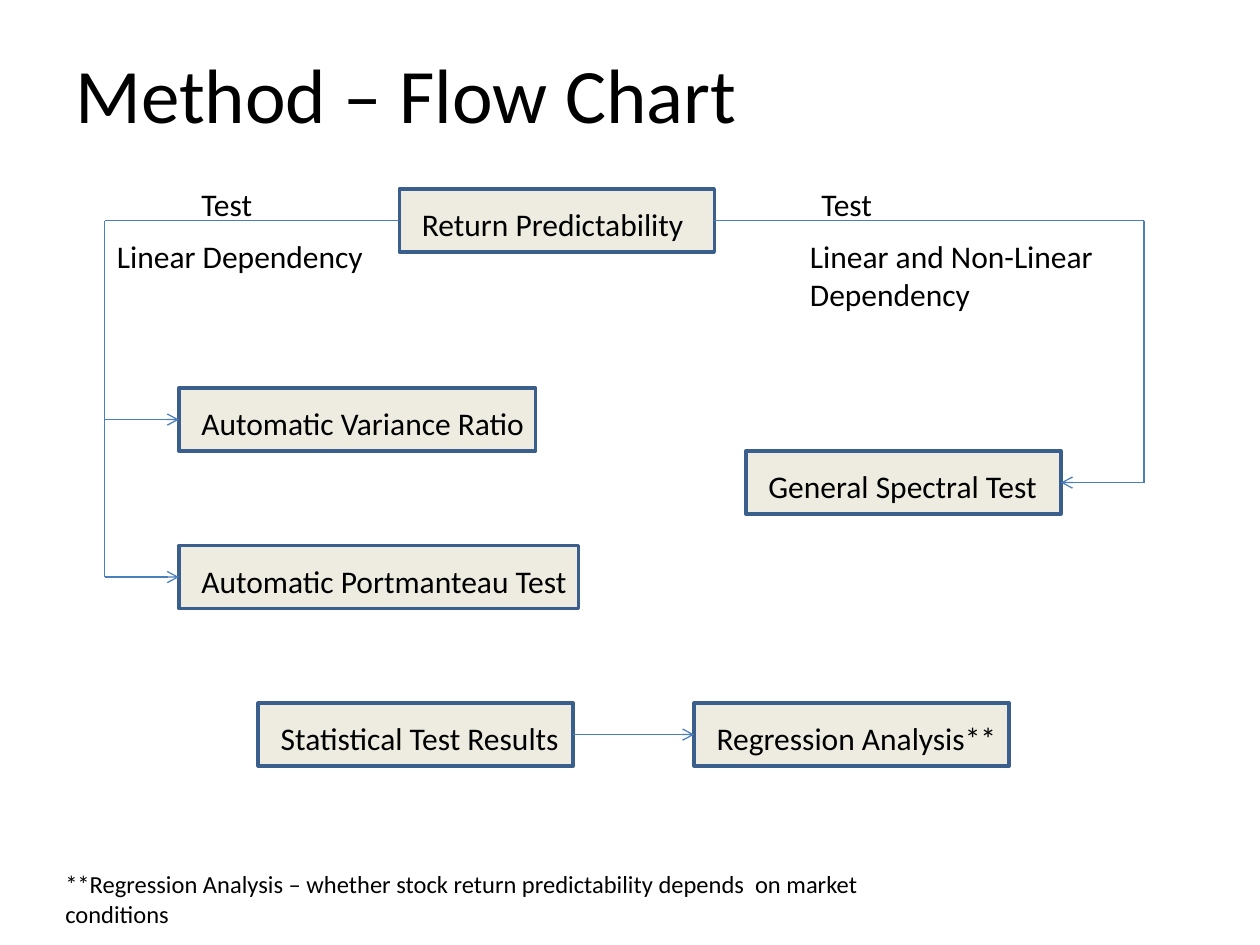
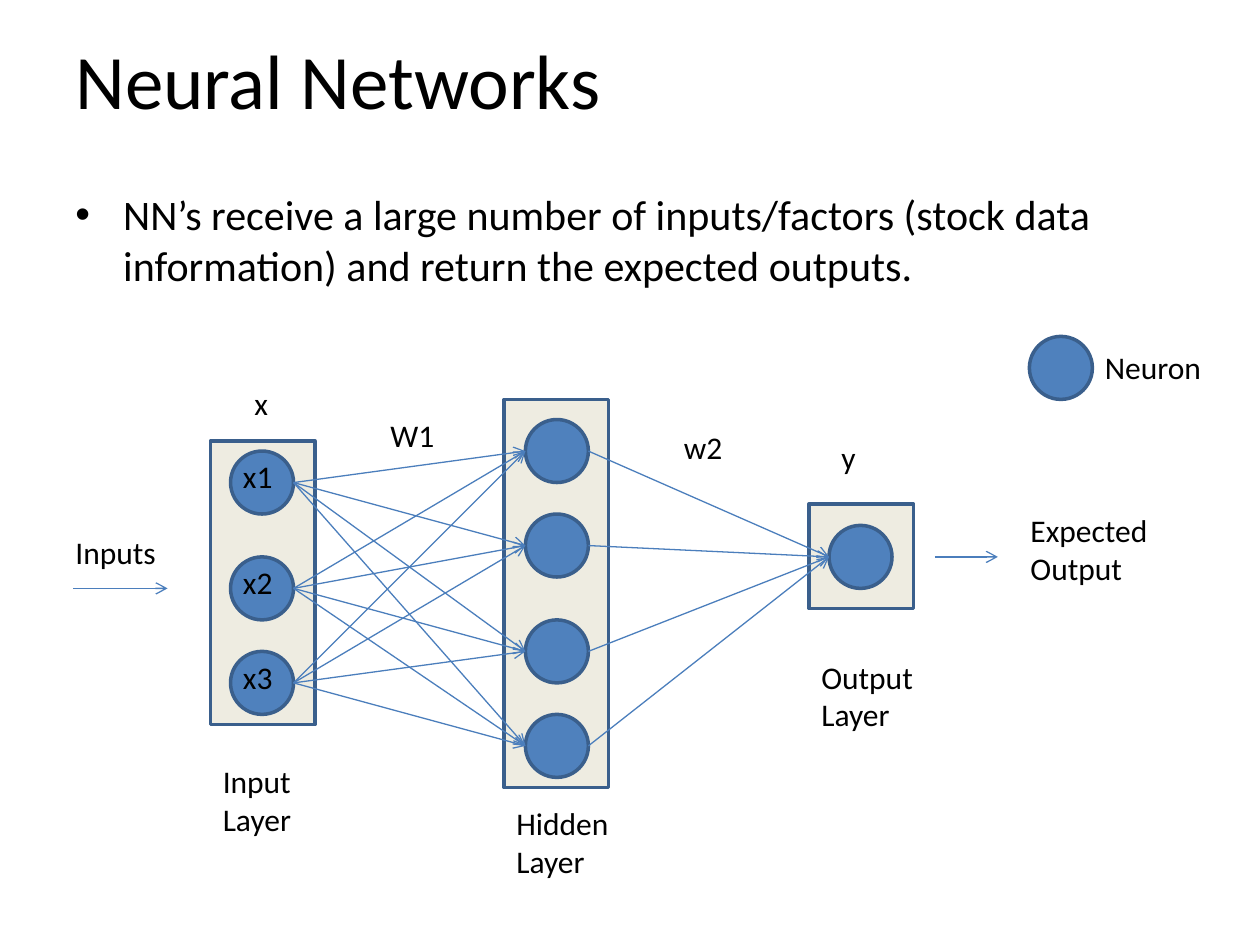
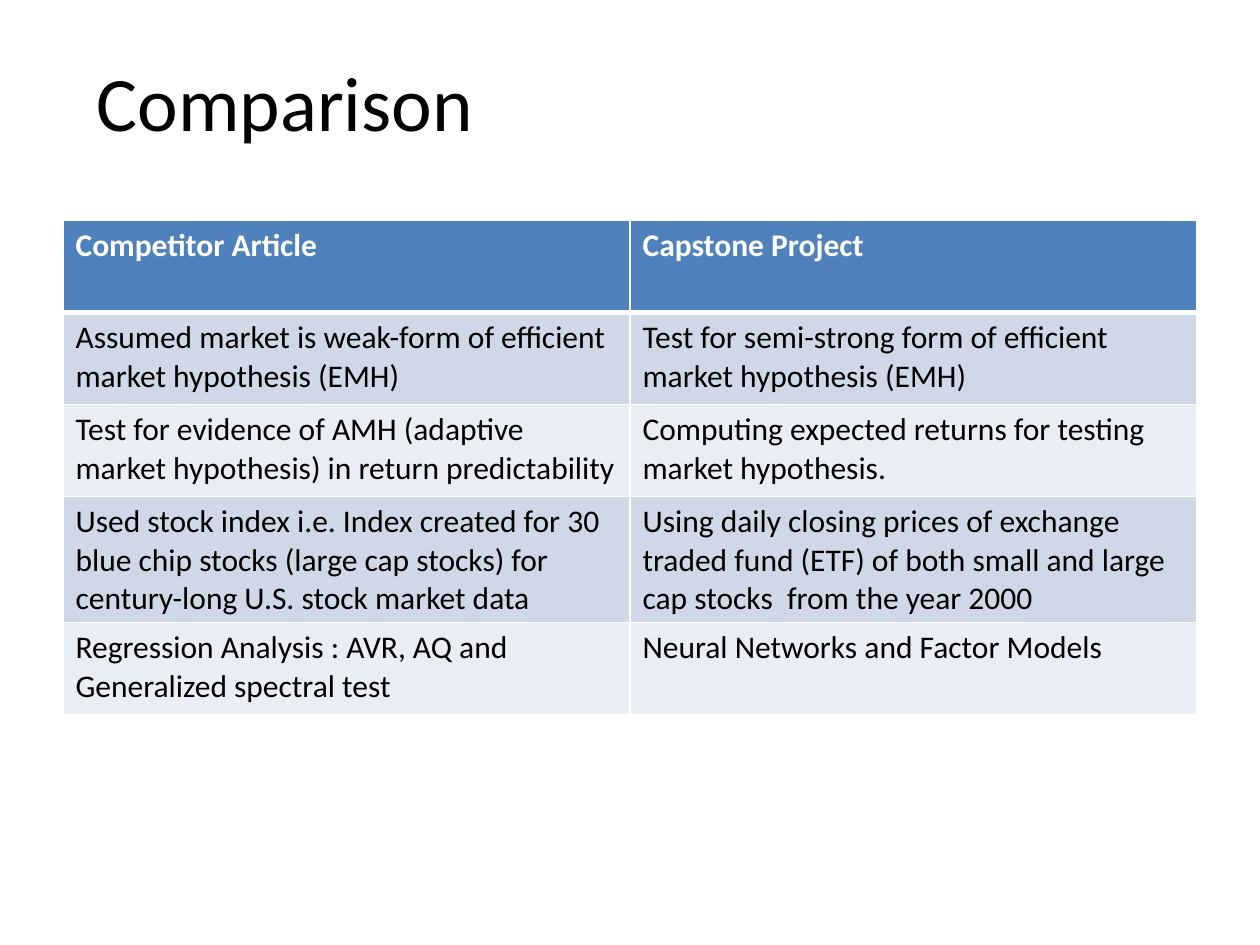
"""Build three slides: a method flow chart, a neural network diagram and a comparison table."""
import itertools

import pptx
import pptx.dml.color
import pptx.enum.shapes
import pptx.enum.text
import pptx.oxml
import pptx.oxml.ns
import pptx.util

Inches = pptx.util.Inches
Pt = pptx.util.Pt
rgb = pptx.dml.color.RGBColor.from_string
MSO_SHAPE = pptx.enum.shapes.MSO_SHAPE
MSO_ANCHOR = pptx.enum.text.MSO_ANCHOR

FONT = "Calibri"
BLACK, WHITE, BEIGE = "000000", "FFFFFF", "EEECE1"
BLUE, OUTLINE, LINE = "4F81BD", "3A5F8C", "4B7EBC"
BANDS = ["D0D8E8", "E9EDF4"]
NS = pptx.oxml.ns.nsdecls("a")


def add_text(s, x, y, w, h, text, size=18, anchor=MSO_ANCHOR.TOP):
    tf = s.shapes.add_textbox(Inches(x), Inches(y), Inches(w), Inches(h)).text_frame
    tf.word_wrap = True
    tf.vertical_anchor = anchor
    p = tf.paragraphs[0]
    r = p.add_run()
    r.text = text
    r.font.name = FONT
    r.font.size = Pt(size)
    r.font.color.rgb = rgb(BLACK)
    return p


def add_line(s, x1, y1, x2, y2, arrow=True):
    c = s.shapes.add_connector(pptx.enum.shapes.MSO_CONNECTOR.STRAIGHT,
                               Inches(x1), Inches(y1), Inches(x2), Inches(y2))
    c.line.color.rgb = rgb(LINE)
    c.line.width = Pt(0.75)
    if arrow:
        c.line._get_or_add_ln().append(pptx.oxml.parse_xml(f'<a:tailEnd {NS} type="arrow"/>'))
    c._element.spPr.append(pptx.oxml.parse_xml(f"<a:effectLst {NS}/>"))


prs = pptx.Presentation()
prs.slide_width, prs.slide_height = Inches(10), Inches(7.5)

titles = [
    ("Method – Flow Chart", 0.5, 0.3, 0.87),
    ("Neural Networks", 0.5, 0, 1.25),
    ("Comparison", 0.67, 0.17, 1.25),
]
for title, x, y, h in titles:
    s = prs.slides.add_slide(prs.slide_layouts[6])
    add_text(s, x, y, 9, h, title, 44, MSO_ANCHOR.MIDDLE)
flow, network, comparison = prs.slides

steps = [
    ("Return Predictability", 3.17, 1.5, 2.5),
    ("Automatic Variance Ratio", 1.42, 3.08, 2.83),
    ("Automatic Portmanteau Test", 1.42, 4.33, 3.17),
    ("General Spectral Test", 5.92, 3.58, 2.5),
    ("Statistical Test Results", 2.05, 5.58, 2.5),
    ("Regression Analysis**", 5.51, 5.58, 2.5),
]
NODE = 0.5
input_x, hidden_x, output_x = 1.83, 4.17, 6.58
input_nodes = [(input_x, y) for y in (3.58, 4.42, 5.17)]
hidden_nodes = [(hidden_x, y) for y in (3.33, 4.08, 4.92, 5.67)]
output_nodes = [(output_x, 4.17)]
legend_node = (8.17, 2.67)

boxes = [(flow, x, y, w, 0.5) for text, x, y, w in steps]
boxes += [(network, 1.67, 3.5, 0.83, 2.25), (network, 4, 3.17, 0.83, 3.08),
          (network, 6.42, 4, 0.83, 0.83)]
outlines = [(MSO_SHAPE.RECTANGLE, BEIGE, *box) for box in boxes]
outlines += [(MSO_SHAPE.OVAL, BLUE, network, x, y, NODE, NODE)
             for x, y in input_nodes + hidden_nodes + output_nodes + [legend_node]]
for kind, fill, s, x, y, w, h in outlines:
    sp = s.shapes.add_shape(kind, Inches(x), Inches(y), Inches(w), Inches(h))
    sp.shadow.inherit = False
    sp.fill.solid()
    sp.fill.fore_color.rgb = rgb(fill)
    sp.line.color.rgb = rgb(OUTLINE)
    sp.line.width = Pt(2)

for text, x, y, w in steps:
    add_text(flow, x + 0.08, y + 0.08, w + 0.1, 0.4, text)
for x1, y1, x2, y2, arrow in [
    (3.17, 1.75, 0.83, 1.75, False),
    (0.83, 1.75, 0.83, 4.58, False),
    (0.83, 3.33, 1.42, 3.33, True),
    (0.83, 4.58, 1.42, 4.58, True),
    (9.08, 1.75, 5.67, 1.75, False),
    (9.08, 1.75, 9.08, 3.83, False),
    (9.08, 3.83, 8.42, 3.83, True),
    (4.55, 5.83, 5.51, 5.83, True),
]:
    add_line(flow, x1, y1, x2, y2, arrow)
for text, x, y, w, h in [
    ("Test", 1.5, 1.42, 1.08, 0.4),
    ("Linear Dependency", 0.83, 1.83, 2.42, 0.4),
    ("Test", 6.42, 1.42, 1.08, 0.4),
    ("Linear and Non-Linear Dependency", 6.33, 1.83, 3, 0.71),
]:
    add_text(flow, x, y, w, h, text)
add_text(flow, 0.42, 6.85, 6.83, 0.57, "**Regression Analysis – whether stock return "
         "predictability depends  on market conditions", 14)

p = add_text(network, 0.5, 1.45, 9, 0.92, "NN’s receive a large number of inputs/factors "
             "(stock data information) and return the expected outputs.", 24)
p.space_before = Pt(4.8)
pPr = p._p.get_or_add_pPr()
pPr.set("marL", str(Inches(0.38)))
pPr.set("indent", str(Inches(-0.38)))
pPr.append(pptx.oxml.parse_xml(f'<a:buFont {NS} typeface="Arial"/>'))
pPr.append(pptx.oxml.parse_xml(f'<a:buChar {NS} char="•"/>'))

links = itertools.chain(itertools.product(input_nodes, hidden_nodes),
                        itertools.product(hidden_nodes, output_nodes))
for (x1, y1), (x2, y2) in links:
    add_line(network, x1 + NODE, y1 + NODE / 2, x2, y2 + NODE / 2)
add_line(network, 0.58, 4.67, 1.33, 4.67)
add_line(network, 7.42, 4.42, 7.92, 4.42)
for i, (x, y) in enumerate(input_nodes, 1):
    add_text(network, x, y, NODE, 0.4, f"x{i}")
for text, x, y, w, h in [
    ("Input Layer", 1.67, 6, 0.83, 0.71),
    ("Hidden Layer", 4, 6.33, 1, 0.71),
    ("Output Layer", 6.42, 5.17, 1.08, 0.71),
    ("Neuron", 8.67, 2.71, 1.08, 0.4),
    ("x", 1.92, 3, 0.33, 0.4),
    ("W1", 3, 3.25, 0.58, 0.4),
    ("w2", 5.33, 3.35, 0.58, 0.4),
    ("y", 6.58, 3.43, 0.33, 0.4),
    ("Inputs", 0.5, 4.18, 1.42, 0.4),
    ("Expected Output", 8.08, 4.01, 1.42, 0.71),
]:
    add_text(network, x, y, w, h, text)

rows = [
    ("Competitor Article", "Capstone Project"),
    ("Assumed market is weak-form of efficient market hypothesis (EMH)",
     "Test for semi-strong form of efficient market hypothesis (EMH)"),
    ("Test for evidence of AMH (adaptive market hypothesis) in return predictability",
     "Computing expected returns for testing market hypothesis."),
    ("Used stock index i.e. Index created for 30 blue chip stocks (large cap stocks) "
     "for century-long U.S. stock market data",
     "Using daily closing prices of exchange traded fund (ETF) of both small and large "
     "cap stocks  from the year 2000"),
    ("Regression Analysis : AVR, AQ and Generalized spectral test",
     "Neural Networks and Factor Models"),
]
table = comparison.shapes.add_table(len(rows), 2, Inches(0.5), Inches(1.75),
                                    Inches(9), Inches(0.73 * len(rows))).table
for i, row in enumerate(rows):
    for j, text in enumerate(row):
        header = i == 0
        cell = table.cell(i, j)
        tcPr = cell._tc.get_or_add_tcPr()
        for side in "LRTB":
            thick = (header and side == "B") or (i == 1 and side == "T")
            tcPr.append(pptx.oxml.parse_xml(
                f'<a:ln{side} {NS} w="{Pt(3 if thick else 1)}"><a:solidFill>'
                f'<a:srgbClr val="{WHITE}"/></a:solidFill></a:ln{side}>'))
        cell.fill.solid()
        cell.fill.fore_color.rgb = rgb(BLUE if header else BANDS[(i - 1) % 2])
        r = cell.text_frame.paragraphs[0].add_run()
        r.text = text
        r.font.name = FONT
        r.font.size = Pt(18)
        r.font.bold = header
        r.font.color.rgb = rgb(WHITE if header else BLACK)

prs.save("out.pptx")
